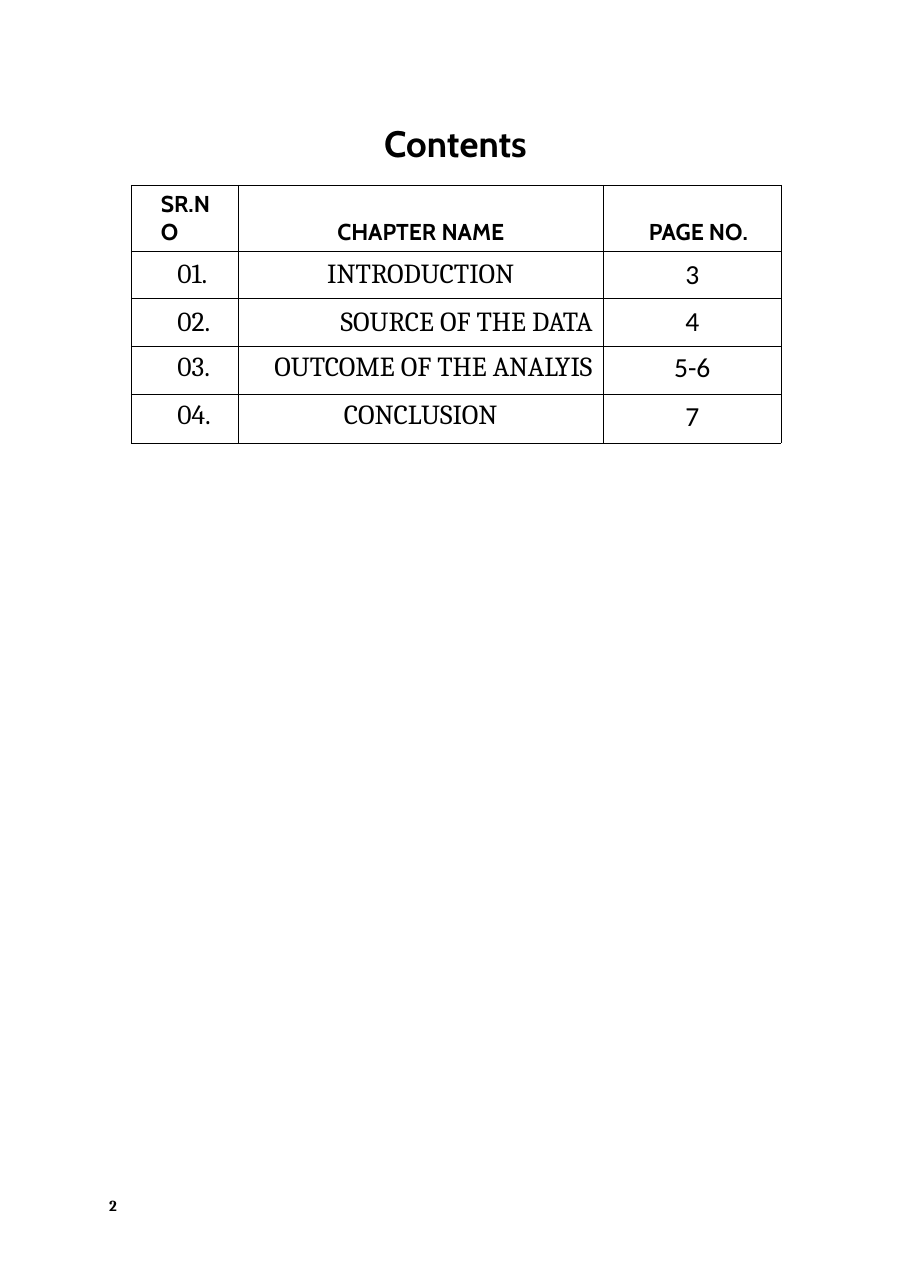
from dataclasses import dataclass

from pptx import Presentation
from pptx.dml.color import RGBColor
from pptx.enum.text import MSO_ANCHOR, PP_ALIGN
from pptx.oxml import parse_xml
from pptx.oxml.ns import nsdecls
from pptx.util import Inches, Pt


@dataclass(frozen=True)
class Theme:
    ink: str = "000000"
    heading_font: str = "Cabin"
    body_font: str = "Cambria"
    number_font: str = "Calibri"
    title_size: float = 24
    header_size: float = 15
    body_size: float = 18
    footer_size: float = 10
    border_width: float = 0.45


THEME = Theme()
LEFT, CENTER, RIGHT = PP_ALIGN.LEFT, PP_ALIGN.CENTER, PP_ALIGN.RIGHT
TOP, MIDDLE, BOTTOM = MSO_ANCHOR.TOP, MSO_ANCHOR.MIDDLE, MSO_ANCHOR.BOTTOM

COLUMN_WIDTHS = [0.97, 3.32, 1.61]
HEADER_HEIGHT = 0.32
HEADINGS = [
    ("SR.NO", LEFT, 0.17),
    ("CHAPTER NAME", CENTER, 0),
    ("PAGE NO.", LEFT, 0.31),
]
CHAPTERS = [
    ("INTRODUCTION", CENTER, "3", 0.43, MIDDLE),
    ("SOURCE OF THE DATA", RIGHT, "4", 0.43, MIDDLE),
    ("OUTCOME OF THE ANALYIS", RIGHT, "5-6", 0.44, TOP),
    ("CONCLUSION", CENTER, "7", 0.44, TOP),
]


def write_text(text_frame, text, font_name, size, bold=False, alignment=LEFT, indent=0):
    text_frame.text = text
    paragraph = text_frame.paragraphs[0]
    paragraph.alignment = alignment
    if indent:
        properties = paragraph._p.get_or_add_pPr()
        properties.set("marL", str(Inches(indent)))
        properties.set("indent", "0")
    font = paragraph.runs[0].font
    font.name = font_name
    font.size = Pt(size)
    font.bold = bold
    font.color.rgb = RGBColor.from_string(THEME.ink)
    return paragraph


def add_label(slide, left, top, width, height, text, font_name, size, alignment=LEFT):
    label = slide.shapes.add_textbox(
        Inches(left), Inches(top), Inches(width), Inches(height)
    )
    text_frame = label.text_frame
    text_frame.word_wrap = False
    text_frame.margin_left = text_frame.margin_right = 0
    text_frame.margin_top = text_frame.margin_bottom = 0
    return write_text(text_frame, text, font_name, size, True, alignment)


def outline_cell(cell):
    properties = cell._tc.get_or_add_tcPr()
    for side in ("lnL", "lnR", "lnT", "lnB"):
        properties.append(parse_xml(
            f'<a:{side} {nsdecls("a")} w="{Pt(THEME.border_width)}">'
            f'<a:solidFill><a:srgbClr val="{THEME.ink}"/></a:solidFill></a:{side}>'
        ))
    cell.fill.background()


def fill_cell(cell, anchor, *text_arguments, **text_options):
    outline_cell(cell)
    cell.vertical_anchor = anchor
    write_text(cell.text_frame, *text_arguments, **text_options)


def add_contents_table(slide):
    heights = [HEADER_HEIGHT] + [chapter[3] for chapter in CHAPTERS]
    table = slide.shapes.add_table(
        len(heights), len(COLUMN_WIDTHS), Inches(1.19), Inches(1.68),
        Inches(sum(COLUMN_WIDTHS)), Inches(sum(heights)),
    ).table
    table.first_row = False
    table.horz_banding = False
    for column, width in zip(table.columns, COLUMN_WIDTHS):
        column.width = Inches(width)
    for row, height in zip(table.rows, heights):
        row.height = Inches(height)

    for column, (heading, alignment, indent) in enumerate(HEADINGS):
        fill_cell(table.cell(0, column), BOTTOM, heading, THEME.heading_font,
                  THEME.header_size, bold=True, alignment=alignment, indent=indent)
    for row, (chapter, alignment, pages, _, anchor) in enumerate(CHAPTERS, start=1):
        fill_cell(table.cell(row, 0), anchor, f"{row:02d}.", THEME.body_font,
                  THEME.body_size, indent=0.32)
        fill_cell(table.cell(row, 1), anchor, chapter, THEME.body_font,
                  THEME.body_size, alignment=alignment)
        fill_cell(table.cell(row, 2), anchor, pages, THEME.number_font,
                  THEME.body_size, alignment=CENTER)


def main():
    presentation = Presentation()
    presentation.slide_width = Inches(8.27)
    presentation.slide_height = Inches(11.69)
    slide = presentation.slides.add_slide(presentation.slide_layouts[6])

    title = add_label(slide, 3.42, 1.1, 1.43, 0.29, "Contents",
                      THEME.heading_font, THEME.title_size, CENTER)
    title.space_after = Pt(14.7)
    add_contents_table(slide)
    add_label(slide, 0.99, 10.86, 0.1, 0.14, "2", THEME.body_font, THEME.footer_size)

    presentation.save("out.pptx")


if __name__ == "__main__":
    main()
